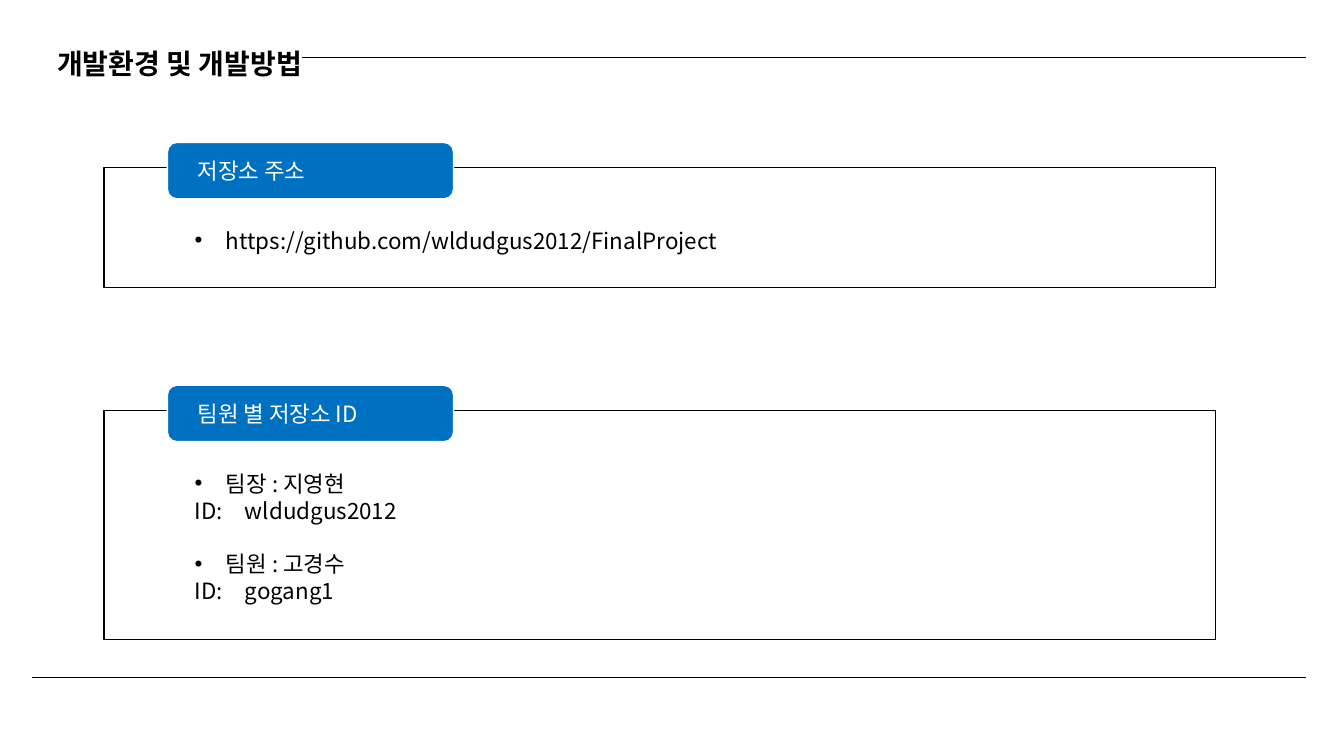
import pptx
import pptx.dml.color
import pptx.enum.shapes
import pptx.enum.text
import pptx.oxml.ns
import pptx.util
from dataclasses import dataclass
from lxml import etree

Cm = pptx.util.Cm
Pt = pptx.util.Pt
qn = pptx.oxml.ns.qn
Anchor = pptx.enum.text.MSO_ANCHOR
Align = pptx.enum.text.PP_ALIGN
Shape = pptx.enum.shapes.MSO_SHAPE


@dataclass
class Theme:
    font: str = "Noto Sans CJK KR"
    ink: str = "000000"
    paper: str = "FFFFFF"
    accent: str = "0070C0"
    title_size: int = 20
    text_size: int = 16
    line_width: int = 1


def rgb(value):
    return pptx.dml.color.RGBColor.from_string(value)


class SlideBuilder:
    def __init__(self, slide, theme):
        self.slide = slide
        self.theme = theme

    def style(self, paragraph, size, color, bold=False):
        paragraph.space_before = Pt(0)
        for run in paragraph.runs:
            run.font.size = Pt(size)
            run.font.bold = bold
            run.font.color.rgb = rgb(color)
            run.font.name = self.theme.font
            east_asian = etree.SubElement(run.font._element, qn("a:ea"))
            east_asian.set("typeface", self.theme.font)

    def place(self, placeholder, left, top, width, height):
        """Move a placeholder and bring it to the front."""
        placeholder.left, placeholder.top = Cm(left), Cm(top)
        placeholder.width, placeholder.height = Cm(width), Cm(height)
        placeholder.element.getparent().append(placeholder.element)
        text_frame = placeholder.text_frame
        text_frame.word_wrap = True
        text_frame.auto_size = pptx.enum.text.MSO_AUTO_SIZE.NONE
        return text_frame

    def title(self, text, *box):
        text_frame = self.place(self.slide.shapes.title, *box)
        text_frame.text = text
        text_frame.vertical_anchor = Anchor.BOTTOM
        paragraph = text_frame.paragraphs[0]
        paragraph.alignment = Align.CENTER
        paragraph.line_spacing = 0.9
        self.style(paragraph, self.theme.title_size, self.theme.ink, bold=True)

    def rule(self, left, right, y):
        line = self.slide.shapes.add_connector(
            pptx.enum.shapes.MSO_CONNECTOR.STRAIGHT, Cm(left), Cm(y), Cm(right), Cm(y))
        line.line.color.rgb = rgb(self.theme.ink)
        line.line.width = Pt(self.theme.line_width)
        etree.SubElement(line.element.spPr, qn("a:effectLst"))

    def block(self, kind, fill, outline, left, top, width, height):
        shape = self.slide.shapes.add_shape(kind, Cm(left), Cm(top), Cm(width), Cm(height))
        shape.shadow.inherit = False
        shape.fill.solid()
        shape.fill.fore_color.rgb = rgb(fill)
        shape.line.color.rgb = rgb(outline)
        shape.line.width = Pt(self.theme.line_width)
        return shape

    def panel(self, heading, top, height):
        """Outlined frame with a heading tab across its top edge."""
        theme = self.theme
        self.block(Shape.RECTANGLE, theme.paper, theme.ink, 2.62, top, 28.02, height)
        tab = self.block(Shape.ROUNDED_RECTANGLE, theme.accent, theme.paper,
                         4.22, top - 0.63, 7.21, 1.42)
        text_frame = tab.text_frame
        text_frame.text = heading
        text_frame.margin_left = Cm(0.69)
        text_frame.vertical_anchor = Anchor.MIDDLE
        text_frame.paragraphs[0].alignment = Align.LEFT
        self.style(text_frame.paragraphs[0], theme.text_size, theme.paper)

    def bullets(self, placeholder, entries, top, height):
        """Each entry is a bulleted line followed by plain lines."""
        text_frame = self.place(placeholder, 3.38, top, 23.22, height)
        text_frame.vertical_anchor = Anchor.TOP
        text_frame.text = "\n".join(line for entry in entries for line in entry)
        paragraphs = iter(text_frame.paragraphs)
        for entry_index, entry in enumerate(entries):
            for line_index in range(len(entry)):
                paragraph = next(paragraphs)
                bulleted = line_index == 0
                properties = paragraph._p.get_or_add_pPr()
                properties.set("marL", str(Cm(2.06 if bulleted else 1.27)))
                properties.set("indent", str(Cm(-0.79 if bulleted else 0)))
                if bulleted:
                    font = etree.SubElement(properties, qn("a:buFont"))
                    font.set("typeface", "Arial")
                    etree.SubElement(properties, qn("a:buChar")).set("char", "•")
                else:
                    etree.SubElement(properties, qn("a:buNone"))
                self.style(paragraph, self.theme.text_size, self.theme.ink)
                if bulleted and entry_index:
                    paragraph.space_before = Pt(19.2)


def main():
    presentation = pptx.Presentation()
    presentation.slide_width, presentation.slide_height = Cm(33.87), Cm(19.05)
    slide = presentation.slides.add_slide(presentation.slide_layouts[3])
    builder = SlideBuilder(slide, Theme())

    # Title and rules
    builder.title("개발환경 및 개발방법", 0.81, 0.58, 7.44, 1.57)
    builder.rule(7.62, 32.92, 1.45)
    builder.rule(0.81, 32.92, 17.07)

    # Repository address
    builder.panel("저장소 주소", 4.22, 3.02)
    builder.bullets(slide.placeholders[1],
                    [["https://github.com/wldudgus2012/FinalProject"]], 5.59, 0.94)

    # Member accounts
    builder.panel("팀원 별 저장소 ID", 10.34, 5.77)
    builder.bullets(slide.placeholders[2],
                    [["팀장 : 지영현", "ID:\twldudgus2012"],
                     ["팀원 : 고경수", "ID:\tgogang1"]], 11.71, 3.68)

    presentation.save("out.pptx")


if __name__ == "__main__":
    main()
